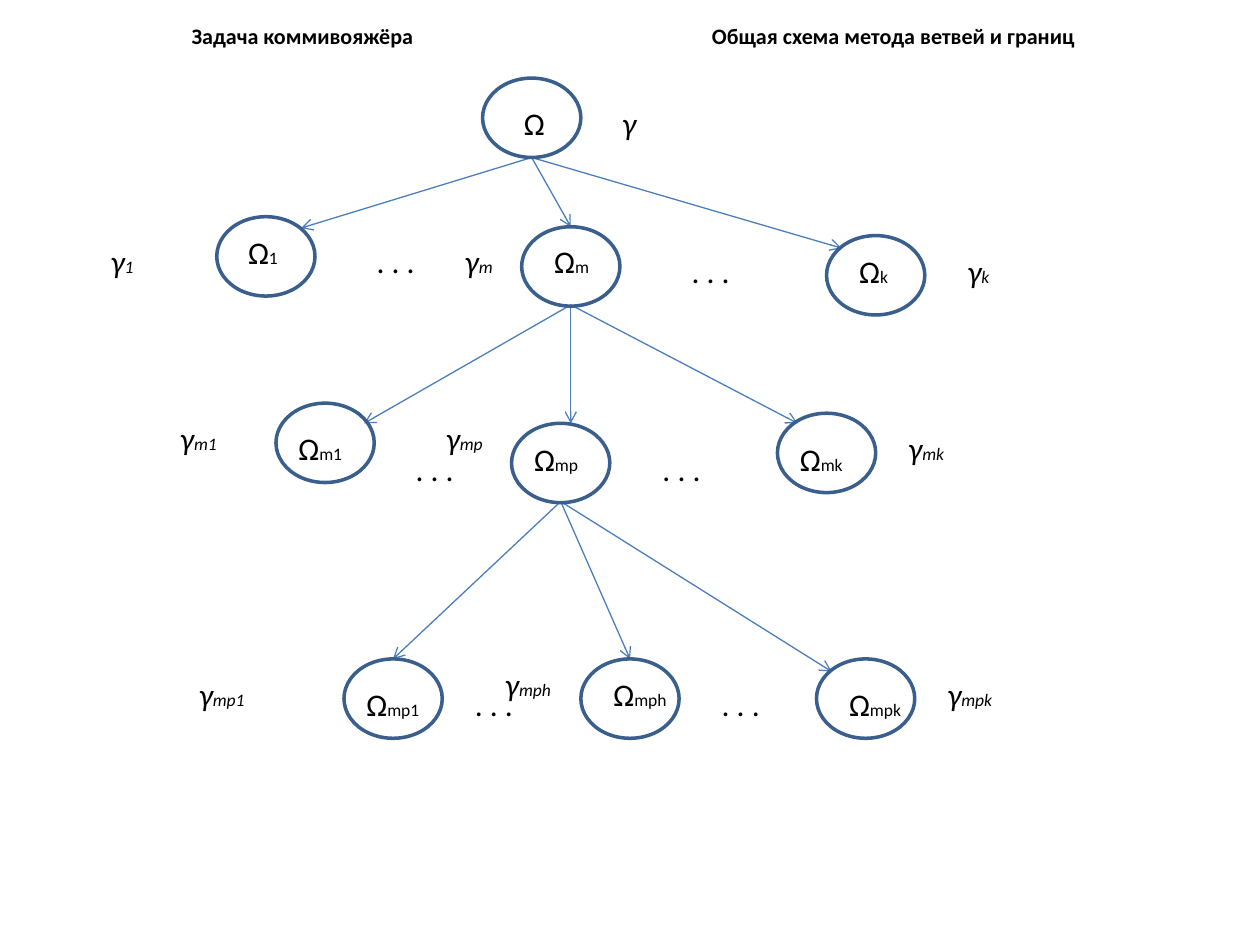
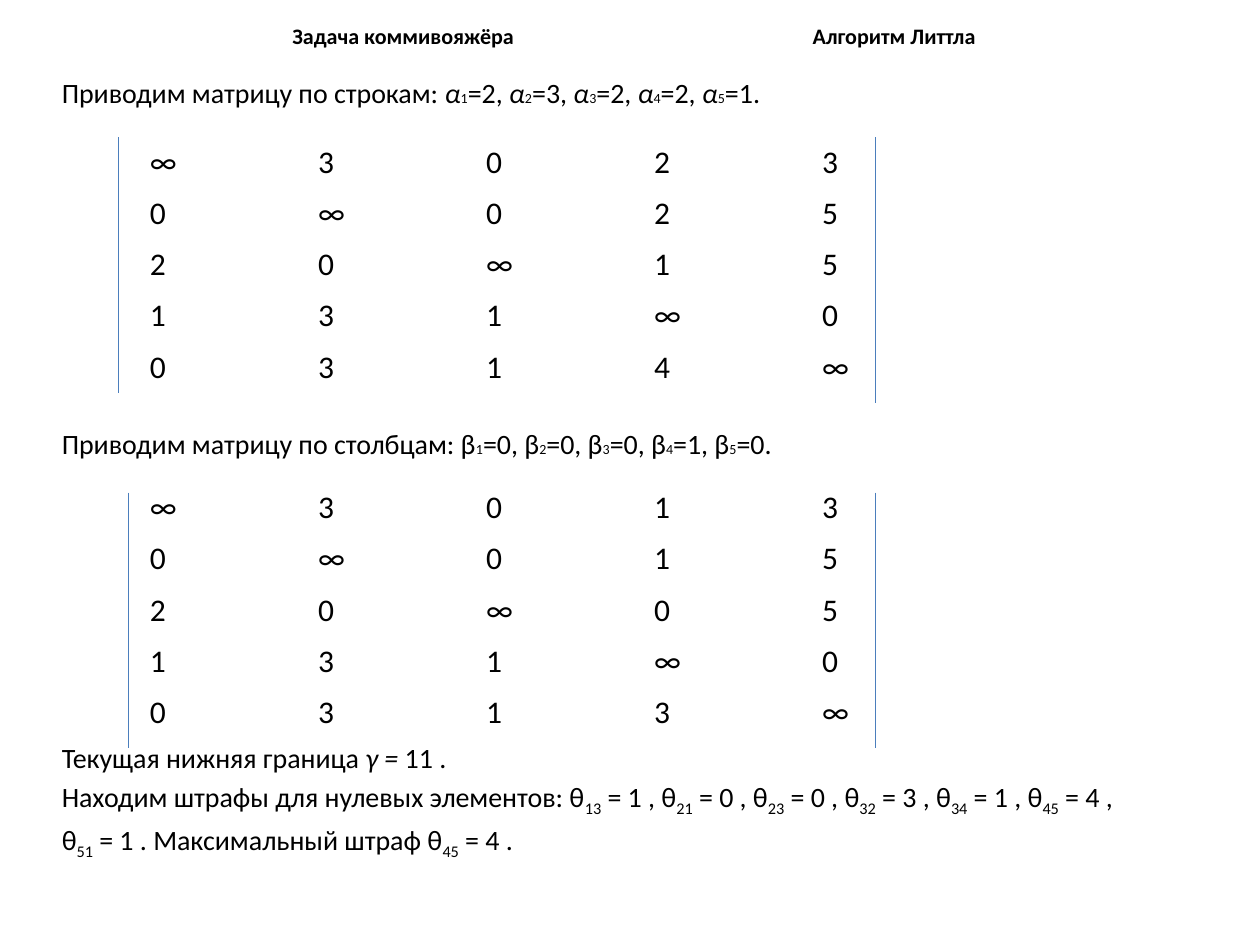
from pptx import Presentation
from pptx.dml.color import RGBColor
from pptx.enum.shapes import MSO_CONNECTOR as Link, MSO_SHAPE as Shape
from pptx.enum.text import MSO_ANCHOR as Anchor, MSO_AUTO_SIZE as Fit, PP_ALIGN as Align
from pptx.oxml.ns import qn
from pptx.util import Inches, Pt
from lxml.etree import SubElement


def color(code):
    return RGBColor.from_string(code)


def write(para, text, size=18, sub=10, drop=0, bold=False, ital=False,
          align=Align.LEFT, before=0):
    para.alignment = align
    para.space_before = Pt(before)
    for part in filter(None, text.split("|")):
        low, slant = part[0] == "_", part[0] == "~"
        run = para.add_run()
        run.text = part.lstrip("_~")
        font = run.font
        font.name = "Calibri"
        font.size = Pt(sub if low else size)
        font.bold = bold
        font.italic = ital or slant
        font.color.rgb = color(Deck.ink)
        if low and drop:
            run._r.get_or_add_rPr().set("baseline", str(-1000 * drop))


def place(shape, x, y, wide, high):
    shape.left, shape.top = Inches(x), Inches(y)
    shape.width, shape.height = Inches(wide), Inches(high)


class Deck:
    ink, rim, blue = "000000", "3A5F8C", "4B7EBC"
    topic = "Задача коммивояжёра"

    def __init__(self):
        self.prs = Presentation()
        self.prs.slide_width, self.prs.slide_height = Inches(10), Inches(7.5)

    def start(self, name, left):
        self.slide = self.prs.slides.add_slide(self.prs.slide_layouts[0])
        self.items = self.slide.shapes
        title = self.items.title
        place(title, 0.78, 0.16, 8.5, 0.25)
        frame = title.text_frame
        frame.auto_size = Fit.NONE
        frame.vertical_anchor = Anchor.MIDDLE
        frame.margin_left = Inches(left - 0.78)
        para = frame.paragraphs[0]
        write(para, f"{self.topic}\t{name}", size=12.6, bold=True)
        stops = SubElement(para._p.get_or_add_pPr(), qn("a:tabLst"))
        SubElement(stops, qn("a:tab"), pos=str(Inches(4.13)), algn="l")

    def body(self, paras):
        hold = self.slide.placeholders[1]
        if not paras:
            hold._element.getparent().remove(hold._element)
            return
        place(hold, 0.39, 0.55, 9.22, 6.64)
        frame = hold.text_frame
        frame.auto_size = Fit.NONE
        frame.vertical_anchor = Anchor.TOP
        for i, (text, form) in enumerate(paras):
            para = frame.add_paragraph() if i else frame.paragraphs[0]
            write(para, text, size=16, align=Align.JUSTIFY, **form)

    def label(self, text, x, y, wide, **form):
        box = self.items.add_textbox(Inches(x), Inches(y), Inches(wide), Inches(0.4))
        box.text_frame.word_wrap = True
        box.text_frame.auto_size = Fit.SHAPE_TO_FIT_TEXT
        write(box.text_frame.paragraphs[0], text, **form)

    def oval(self, x, y):
        oval = self.items.add_shape(Shape.OVAL, Inches(x), Inches(y),
                                    Inches(0.78), Inches(0.63))
        oval.shadow.inherit = False
        oval.fill.background()
        oval.line.color.rgb = color(self.rim)
        oval.line.width = Pt(2)

    def line(self, start, end, arrow=False):
        ends = [Inches(v) for v in (*start, *end)]
        link = self.items.add_connector(Link.STRAIGHT, *ends)
        link.line.color.rgb = color(self.blue)
        link.line.width = Pt(0.75)
        props = link._element.spPr
        if arrow:
            SubElement(props.find(qn("a:ln")), qn("a:tailEnd"), type="arrow")
        SubElement(props, qn("a:effectLst"))

    def matrix(self, y, rows):
        grid = self.items.add_table(5, 5, Inches(1.09), Inches(y),
                                    Inches(6.67), Inches(2)).table
        grid.first_row = grid.horz_banding = False
        for r, row in enumerate(rows.split()):
            for c, value in enumerate(row):
                cell = grid.cell(r, c)
                cell.fill.background()
                write(cell.text_frame.paragraphs[0], value)


deck = Deck()

deck.start("Общая схема метода ветвей и границ", 1.52)
deck.body([])
nodes = [
    ("", (3.83, 0.62), (4.06, 0.78), (4.84, 0.78)),
    ("1", (1.72, 1.72), (1.87, 1.8), (0.78, 1.87)),
    ("m", (4.14, 1.8), (4.3, 1.87), (3.59, 1.87)),
    ("k", (6.56, 1.87), (6.72, 1.95), (7.58, 1.95)),
    ("m1", (2.19, 3.2), (2.27, 3.36), (1.33, 3.28)),
    ("mp", (4.06, 3.36), (4.14, 3.44), (3.44, 3.28)),
    ("mk", (6.17, 3.28), (6.25, 3.44), (7.11, 3.36)),
    ("mp1", (2.73, 5.23), (2.81, 5.39), (1.48, 5.31)),
    ("mph", (4.61, 5.23), (4.77, 5.31), (3.91, 5.23)),
    ("mpk", (6.48, 5.23), (6.64, 5.39), (7.42, 5.31)),
]
forks = [
    ((4.22, 1.25), [(2.39, 1.81), (4.53, 1.8), (6.68, 1.97)]),
    ((4.53, 2.42), [(2.89, 3.36), (4.53, 3.36), (6.33, 3.36)]),
    ((4.45, 3.98), [(3.12, 5.23), (5, 5.23), (6.6, 5.33)]),
]
for root, tips in forks:
    for tip in tips:
        deck.line(root, tip, arrow=True)
for sub, spot, set_at, bound_at in nodes:
    size = len(sub)
    deck.oval(*spot)
    deck.label(f"Ω|_{sub}" if sub else "Ω", *set_at, (0.39, 0.55, 0.63, 0.7)[size])
    deck.label(f"γ|_{sub}" if sub else "γ", *bound_at,
               (0.47, 0.47, 0.55, 0.63)[size], ital=True)
for dots in [(2.89, 1.87), (5.39, 1.95), (3.2, 3.52), (5.16, 3.52),
             (3.67, 5.39), (5.63, 5.39)]:
    deck.label(". . .", *dots, 0.6)

deck.start("Алгоритм Литтла", 2.32)
alphas = ", ".join(f"|~α|_{i}|={v}" for i, v in enumerate((2, 3, 2, 2, 1), 1))
betas = ", ".join(f"β|_{i}|={v}" for i, v in enumerate((0, 0, 0, 1, 0), 1))
costs = ((13, 1), (21, 0), (23, 0), (32, 3), (34, 1), (45, 4))
thetas = " , ".join(f"θ|_{i}| = {v}" for i, v in costs)
deck.body([
    (f"Приводим матрицу по строкам: {alphas}.", dict(sub=8)),
    (f"Приводим матрицу по столбцам: {betas}.", dict(sub=8, before=181.6)),
    ("Текущая нижняя граница |~γ = |11 .", dict(before=160)),
    (f"Находим штрафы для нулевых элементов: {thetas} ,",
     dict(sub=16, drop=25, before=3)),
    ("θ|_51| = 1 . Максимальный штраф θ|_45| = 4 .",
     dict(sub=16, drop=25, before=3)),
])
deck.matrix(1.09, "∞3023 0∞025 20∞15 131∞0 0314∞")
deck.matrix(3.83, "∞3013 0∞015 20∞05 131∞0 0313∞")
for x, top, end in [(0.94, 1.09, 3.12), (6.95, 1.09, 3.2),
                    (1.02, 3.91, 5.94), (6.95, 3.91, 5.94)]:
    deck.line((x, top), (x, end))

deck.prs.save("out.pptx")
